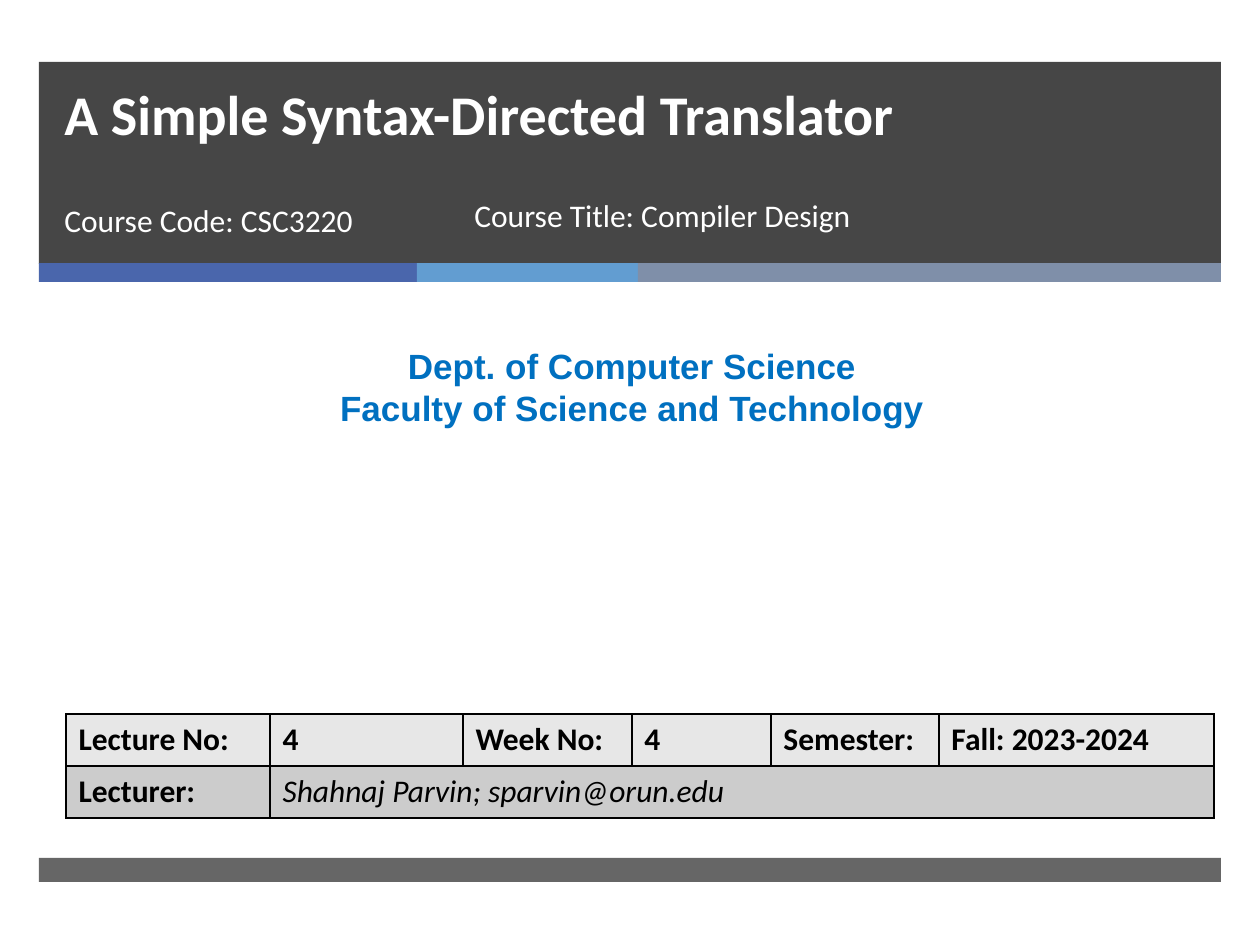
from lxml.etree import SubElement
from pptx import Presentation
from pptx.dml.color import RGBColor
from pptx.enum.shapes import MSO_SHAPE
from pptx.enum.text import MSO_ANCHOR, PP_ALIGN
from pptx.oxml import parse_xml
from pptx.oxml.ns import nsdecls, qn
from pptx.util import Emu, Pt

SCALE = 914400 / 126


def px(num):
    return Emu(round(num * SCALE))


def color(code):
    return RGBColor.from_string(code)


def write(frame, text, size=18, font="Calibri", ink="FFFFFF", bold=False,
          italic=False, align=PP_ALIGN.LEFT, lead=None):
    """Fill a text frame, one paragraph for each line of text."""
    for i, line in enumerate(text.split("\n")):
        para = frame.add_paragraph() if i else frame.paragraphs[0]
        para.alignment = align
        if lead:
            para.line_spacing = Pt(lead)
        run = para.add_run()
        run.text = line
        run.font.size = Pt(size)
        run.font.name = font
        run.font.bold = bold
        run.font.italic = italic
        run.font.color.rgb = color(ink)


class Deck:
    """Holds the style and the current slide."""
    dark = "262626"
    blue = "0070C0"
    black = "000000"

    def __init__(self, wide, high):
        self.file = Presentation()
        self.file.slide_width, self.file.slide_height = px(wide), px(high)
        self.slide = self.file.slides.add_slide(self.file.slide_layouts[6])

    def bar(self, x, y, w, h, fill, alpha=None):
        """Add a plain rectangle; alpha is its opacity in percent."""
        shape = self.slide.shapes.add_shape(
            MSO_SHAPE.RECTANGLE, px(x), px(y), px(w), px(h))
        shape.shadow.inherit = False
        shape.fill.solid()
        shape.fill.fore_color.rgb = color(fill)
        shape.line.fill.background()
        if alpha:
            tone = shape.fill._xPr.find(".//" + qn("a:srgbClr"))
            SubElement(tone, qn("a:alpha")).set("val", str(alpha * 1000))

    def label(self, x, y, w, h, text, anchor=MSO_ANCHOR.TOP, **style):
        box = self.slide.shapes.add_textbox(px(x), px(y), px(w), px(h))
        box.text_frame.word_wrap = True
        box.text_frame.vertical_anchor = anchor
        write(box.text_frame, text, **style)

    def cell(self, cell, fill):
        """Give a table cell black borders and a solid fill."""
        props = cell._tc.get_or_add_tcPr()
        for side in ("lnL", "lnR", "lnT", "lnB"):
            props.append(parse_xml(
                f'<a:{side} {nsdecls("a")} w="12700"><a:solidFill>'
                f'<a:srgbClr val="{self.black}"/></a:solidFill></a:{side}>'))
        cell.fill.solid()
        cell.fill.fore_color.rgb = color(fill)

    def table(self, x, y, cols, high, rows, fills):
        grid = self.slide.shapes.add_table(
            len(rows), len(cols), px(x), px(y),
            px(sum(cols)), px(high * len(rows))).table
        for col, wide in zip(grid.columns, cols):
            col.width = px(wide)
        for r, (row, fill) in enumerate(zip(rows, fills)):
            grid.rows[r].height = px(high)
            for c in range(len(cols)):
                self.cell(grid.cell(r, c), fill)
            for c, text in enumerate(row):
                last = c == len(row) - 1 < len(cols) - 1
                if last:
                    grid.cell(r, c).merge(grid.cell(r, len(cols) - 1))
                write(grid.cell(r, c).text_frame, text, ink=self.black,
                      bold=not last, italic=last)


def main():
    deck = Deck(1260, 945)
    left, wide = 39, 1182
    deck.bar(left, 62, wide, 202, deck.dark, 85)
    x = left
    for w, fill in ((378, "4A66AC"), (221, "629DD1"), (583, "7F8FA9")):
        deck.bar(x, 263, w, 19, fill)
        x += w
    deck.bar(left, 858, wide, 24, deck.dark, 70)

    deck.label(10, 338, 1244, 97,
               "Dept. of Computer Science\nFaculty of Science and Technology",
               size=20, font="Arial", ink=deck.blue, bold=True,
               align=PP_ALIGN.CENTER)
    deck.table(66, 714, (204, 193, 169, 139, 168, 275), 52,
               (("Lecture No:", "4", "Week No:", "4", "Semester:",
                 "Fall: 2023-2024"),
                ("Lecturer:", "Shahnaj Parvin; sparvin@orun.edu")),
               ("E7E7E7", "CCCCCC"))
    deck.label(52, 195, 384, 67, "Course Code: CSC3220")
    deck.label(462, 190, 573, 67, "Course Title: Compiler Design")
    deck.label(52, 3, 1076, 150, "A Simple Syntax-Directed Translator",
               anchor=MSO_ANCHOR.BOTTOM, size=32, bold=True, lead=46)
    deck.file.save("out.pptx")


if __name__ == "__main__":
    main()
